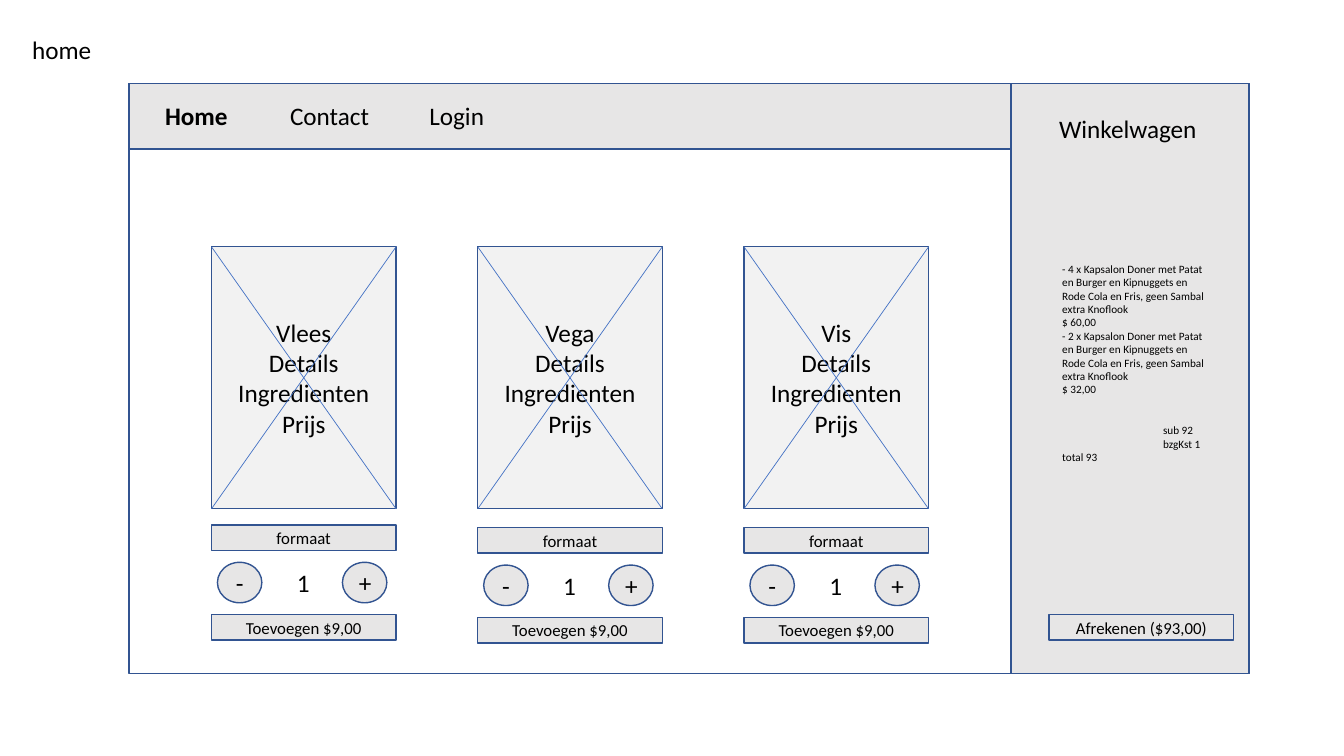
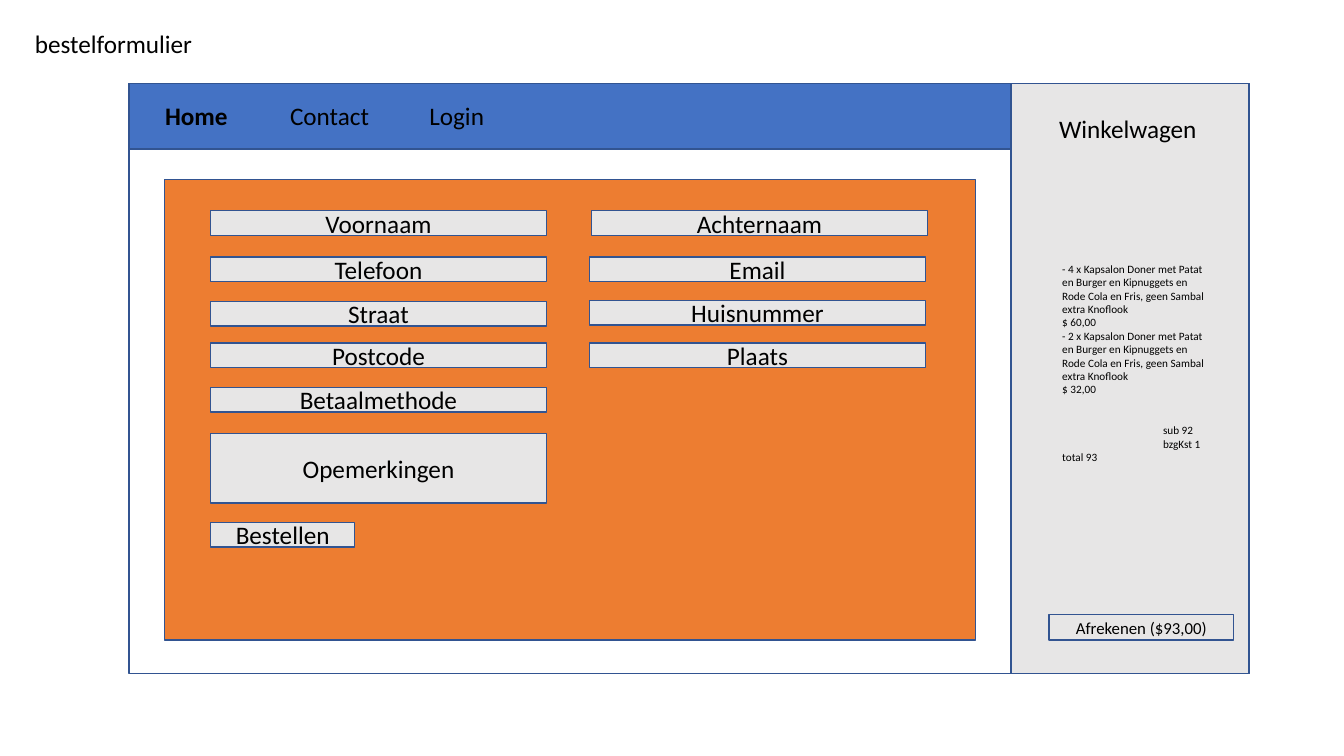
from typing import NamedTuple

from lxml.etree import SubElement
from pptx import Presentation
from pptx.dml.color import RGBColor as Rgb
from pptx.enum.shapes import MSO_CONNECTOR as Conn, MSO_SHAPE as Geo
from pptx.enum.text import MSO_ANCHOR as Anchor, MSO_AUTO_SIZE as Auto, PP_ALIGN as Align
from pptx.oxml.ns import qn
from pptx.util import Cm, Pt

FONT = "Calibri"
BLACK, WHITE, GRAY, PALE = "000000", "FFFFFF", "E7E6E6", "F2F2F2"
BLUE, NAVY, ORANGE = "4472C4", "325491", "ED7D31"


class Box(NamedTuple):
    x: float
    y: float
    w: float
    h: float

    def cm(self) -> list:
        return [Cm(side) for side in self]


class Line(NamedTuple):
    text: str
    before: float = 0
    indent: float = 0


class Field(NamedTuple):
    text: str
    box: Box


FRAME = Box(3.25, 2.11, 28.23, 14.86)
SIDE = Box(25.48, 2.11, 6, 14.86)
BAR = Box(3.25, 2.11, 22.23, 1.65)
PAY = Box(26.44, 15.49, 4.65, 0.64)
MENU = (("Home", 3.91), ("Contact", 7.06), ("Login", 10.57))

ORDER = "Kapsalon Doner met Patat en Burger en Kipnuggets en Rode Cola en Fris, geen Sambal extra Knoflook"
CART = (
    Line(f"- 4 x {ORDER}"),
    Line("$ 60,00"),
    Line(f"- 2 x {ORDER}"),
    Line("$ 32,00"),
    Line("sub 92", 19.5, 2.54),
    Line("bzgKst 1", 0, 2.54),
    Line("total 93"),
)

CARD_X, CARD_Y, CARD_W, CARD_H, STEP = 5.33, 6.22, 4.65, 6.6, 6.71
CARDS = (("Vlees", 13.23), ("Vega", 13.3), ("Vis", 13.3))

LEFT, WIDE, SLIM = 5.31, 8.46, 0.62
FIELDS = (
    Field("Voornaam", Box(LEFT, 5.31, WIDE, SLIM)),
    Field("Achternaam", Box(14.91, 5.31, WIDE, SLIM)),
    Field("Telefoon", Box(LEFT, 6.48, WIDE, SLIM)),
    Field("Email", Box(14.86, 6.48, WIDE, SLIM)),
    Field("Straat", Box(LEFT, 7.6, WIDE, SLIM)),
    Field("Huisnummer", Box(14.86, 7.57, WIDE, SLIM)),
    Field("Postcode", Box(LEFT, 8.64, WIDE, SLIM)),
    Field("Plaats", Box(14.86, 8.64, WIDE, SLIM)),
    Field("Betaalmethode", Box(LEFT, 9.76, WIDE, SLIM)),
    Field("Opemerkingen", Box(LEFT, 10.93, WIDE, 1.75)),
    Field("Bestellen", Box(LEFT, 13.17, 3.63, SLIM)),
)


def paint(form, color: str) -> None:
    if hasattr(form, "solid"):
        form.solid()
        form = form.fore_color
    form.rgb = Rgb.from_string(color)


def write(frame, lines, size: float, bold: bool = False, align=Align.LEFT) -> None:
    frame.word_wrap = True
    for i, line in enumerate(lines):
        para = frame.add_paragraph() if i else frame.paragraphs[0]
        para.alignment = align
        para.space_before = Pt(line.before)
        if line.indent:
            para._p.get_or_add_pPr().set("marL", str(Cm(line.indent)))
        run = para.add_run()
        run.text = line.text
        run.font.name = FONT
        run.font.size = Pt(size)
        run.font.bold = bold
        paint(run.font.color, BLACK)


def label(slide, box: Box, lines, size: float = 18, bold: bool = False) -> None:
    frame = slide.shapes.add_textbox(*box.cm()).text_frame
    write(frame, lines, size, bold)
    frame.auto_size = Auto.SHAPE_TO_FIT_TEXT


def block(slide, box: Box, fill: str, texts=(), size: float = 18, kind=Geo.RECTANGLE) -> None:
    shape = slide.shapes.add_shape(kind, *box.cm())
    shape.shadow.inherit = False
    paint(shape.fill, fill)
    paint(shape.line.color, NAVY)
    shape.line.width = Pt(1)
    shape.text_frame.vertical_anchor = Anchor.MIDDLE
    write(shape.text_frame, [Line(text) for text in texts], size, align=Align.CENTER)


def cross(slide, box: Box) -> None:
    top, base = box.y, box.y + box.h
    for start, end in ((base, top), (top, base)):
        ends = [Cm(n) for n in (box.x, start, box.x + box.w, end)]
        line = slide.shapes.add_connector(Conn.STRAIGHT, *ends)
        paint(line.line.color, BLUE)
        line.line.width = Pt(0.5)
        SubElement(line._element.spPr, qn("a:effectLst"))


def card(slide, x: float, y: float, name: str) -> None:
    box = Box(x, CARD_Y, CARD_W, CARD_H)
    block(slide, box, PALE, (name, "Details", "Ingredienten", "Prijs"))
    cross(slide, box)
    for text, drop in (("formaat", 0), ("Toevoegen $9,00", 2.26)):
        block(slide, Box(x, y + drop, CARD_W, 0.64), GRAY, (text,), 12)
    for sign, shift in (("-", 0.15), ("+", 3.3)):
        block(slide, Box(x + shift, y + 0.94, 1.12, 1.02), GRAY, (sign,), kind=Geo.OVAL)
    label(slide, Box(x + 1.9, y + 0.94, 0.87, 1.02), (Line("1"),))


def page(deck, name: str, spot: Box, bar: str):
    slide = deck.slides.add_slide(deck.slide_layouts[6])
    for box, fill in ((FRAME, WHITE), (SIDE, GRAY), (BAR, bar)):
        block(slide, box, fill)
    for text, x in MENU:
        label(slide, Box(x, 2.41, 2.69, 1.02), (Line(text),), bold=text == "Home")
    label(slide, Box(26.44, 2.72, 4.34, 1.02), (Line("Winkelwagen"),))
    label(slide, Box(26.52, 6.48, 4.11, 6.4), CART, 8)
    block(slide, PAY, GRAY, ("Afrekenen ($93,00)",), 12)
    label(slide, spot, (Line(name),))
    return slide


def main() -> None:
    deck = Presentation()
    deck.slide_width, deck.slide_height = Cm(33.87), Cm(19.05)

    home = page(deck, "home", Box(0.56, 0.74, 2.9, 1.02), GRAY)
    for i, (name, y) in enumerate(CARDS):
        card(home, CARD_X + i * STEP, y, name)

    form = page(deck, "bestelformulier", Box(0.63, 0.6, 6.15, 1.02), BLUE)
    block(form, Box(4.14, 4.52, 20.45, 11.61), ORANGE)
    for field in FIELDS:
        block(form, field.box, GRAY, (field.text,))

    deck.save("out.pptx")


if __name__ == "__main__":
    main()
